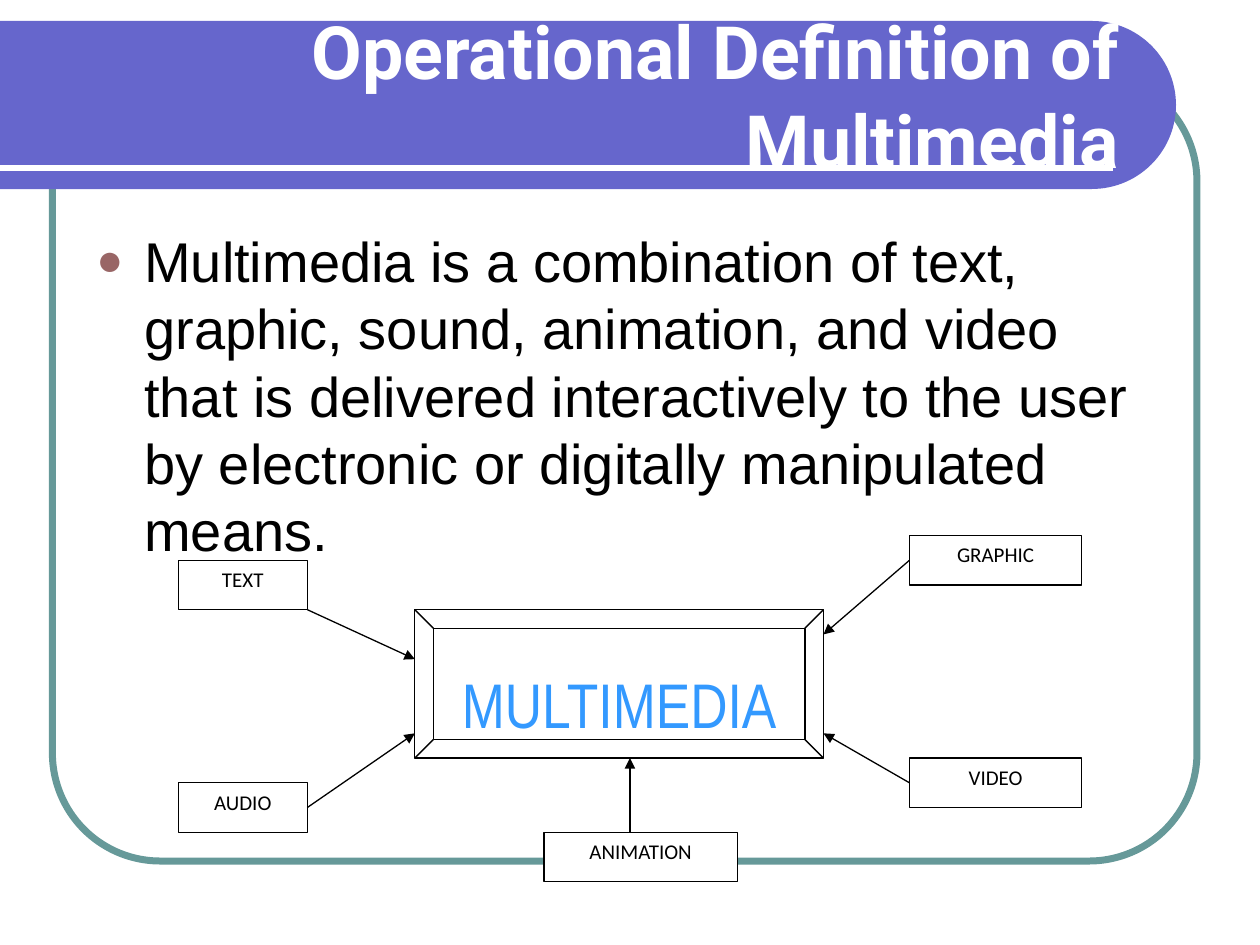
from dataclasses import dataclass
from math import cos, pi, sin

from lxml.etree import SubElement
from pptx import Presentation
from pptx.dml.color import RGBColor
from pptx.enum.shapes import MSO_CONNECTOR as Connector, MSO_SHAPE as Shape
from pptx.enum.text import MSO_ANCHOR as Anchor, MSO_AUTO_SIZE as AutoSize, PP_ALIGN as Align
from pptx.oxml.ns import qn
from pptx.util import Inches, Pt


@dataclass(frozen=True)
class Theme:
    banner: str = "6666CC"
    frame: str = "669999"
    bullet: str = "996666"
    accent: str = "3399FF"
    light: str = "FFFFFF"
    dark: str = "000000"
    title_size: float = 42
    body_size: float = 32
    hub_size: float = 36
    label_size: float = 12
    title_font: str = "Roboto"
    body_font: str = "Arial"
    hub_font: str = "Arial Narrow"
    label_font: str = "Calibri"
    thin: float = 0.75


@dataclass(frozen=True)
class Grid:
    left: float
    top: float
    column: float
    row: float

    def point(self, column, row):
        return Inches(self.left + column * self.column), Inches(self.top + row * self.row)

    def area(self, column, row, columns, rows):
        return (*self.point(column, row), Inches(columns * self.column), Inches(rows * self.row))


PAGE = Grid(0, 0, 1 / 12, 1 / 12)
DIAGRAM = Grid(1.415, 4.25, 0.1707, 0.1963)


def write(box, text, *, font, size, color, bold=False, align=Align.LEFT,
          anchor=Anchor.TOP, wrap=True, bullet=None):
    frame = box.text_frame
    frame.word_wrap = wrap
    frame.auto_size = AutoSize.NONE
    frame.vertical_anchor = anchor
    para = frame.paragraphs[0]
    para.alignment = align
    if bullet:
        properties = para._p.get_or_add_pPr()
        properties.set("marL", str(Inches(0.38)))
        properties.set("indent", str(-Inches(0.38)))
        tint = SubElement(properties, qn("a:buClr"))
        SubElement(tint, qn("a:srgbClr"), val=bullet)
        SubElement(properties, qn("a:buSzPct"), val="80000")
        SubElement(properties, qn("a:buFont"), typeface=font)
        SubElement(properties, qn("a:buChar"), char="●")
    span = para.add_run()
    span.text = text
    span.font.name = font
    span.font.size = Pt(size)
    span.font.bold = bold
    span.font.color.rgb = RGBColor.from_string(color)


class SlideBuilder:
    def __init__(self, deck, theme):
        self.theme = theme
        self.page = deck.slides.add_slide(deck.slide_layouts[5])
        self.shapes = self.page.shapes

    def paint(self, shape, fill=None, line=None, width=0):
        shape.shadow.inherit = False
        if fill:
            shape.fill.solid()
            shape.fill.fore_color.rgb = RGBColor.from_string(fill)
        else:
            shape.fill.background()
        if line:
            shape.line.color.rgb = RGBColor.from_string(line)
            shape.line.width = Pt(width)
        else:
            shape.line.fill.background()

    def shape(self, kind, area, *, adjust=None, **paint):
        shape = self.shapes.add_shape(kind, *area)
        if adjust is not None:
            shape.adjustments[0] = adjust
        self.paint(shape, **paint)
        return shape

    def banner(self, top, bottom, bend):
        radius = (bottom - top) / 2
        middle = top + radius
        steps = 60
        angles = [pi * (step / steps - 0.5) for step in range(steps + 1)]
        curve = [PAGE.point(bend + radius * cos(a), middle + radius * sin(a)) for a in angles]
        outline = self.shapes.build_freeform(*PAGE.point(0, top))
        outline.add_line_segments([*curve, PAGE.point(0, bottom)], close=True)
        self.paint(outline.convert_to_shape(), fill=self.theme.banner)

    def line(self, start, end, *, color, width, arrow=False):
        line = self.shapes.add_connector(Connector.STRAIGHT, *start, *end)
        line.line.color.rgb = RGBColor.from_string(color)
        line.line.width = Pt(width)
        if arrow:
            SubElement(line.line._get_or_add_ln(), qn("a:tailEnd"), type="triangle")
        SubElement(line._element.spPr, qn("a:effectLst"))

    def title(self, text, area):
        title = self.shapes.title
        title.left, title.top, title.width, title.height = area
        self.shapes._spTree.append(title._element)
        write(title, text, font=self.theme.title_font, size=self.theme.title_size,
              color=self.theme.light, bold=True, align=Align.RIGHT, anchor=Anchor.MIDDLE)

    def text(self, text, area, **style):
        write(self.shapes.add_textbox(*area), text, **style)

    def label(self, text, area):
        theme = self.theme
        box = self.shape(Shape.RECTANGLE, area, fill=theme.light, line=theme.dark, width=theme.thin)
        write(box, text, font=theme.label_font, size=theme.label_size,
              color=theme.dark, align=Align.CENTER)

    def arrow(self, start, end):
        self.line(DIAGRAM.point(*start), DIAGRAM.point(*end),
                  color=self.theme.dark, width=self.theme.thin, arrow=True)


def main():
    deck = Presentation()
    deck.slide_width, deck.slide_height = Inches(10), Inches(7.5)
    theme = Theme()
    slide = SlideBuilder(deck, theme)

    slide.shape(Shape.ROUNDED_RECTANGLE, PAGE.area(5, 7, 109, 75), adjust=0.137,
                line=theme.frame, width=4)
    slide.banner(top=2, bottom=18, bend=104)
    slide.line(PAGE.point(0, 16), PAGE.point(106, 16), color=theme.light, width=3)
    slide.title("Operational Definition of Multimedia", PAGE.area(2.5, 3, 105.25, 12))
    slide.text("Multimedia is a combination of text, graphic, sound, animation, and video "
               "that is delivered interactively to the user by electronic or digitally "
               "manipulated means.", PAGE.area(8, 21, 104, 29), font=theme.body_font,
               size=theme.body_size, color=theme.dark, bullet=theme.bullet)

    slide.text("MULTIMEDIA", DIAGRAM.area(13, 5, 15, 2), font=theme.hub_font,
               size=theme.hub_size, color=theme.accent, align=Align.CENTER, wrap=False)
    slide.shape(Shape.BEVEL, DIAGRAM.area(11, 3, 19, 6), adjust=0.125,
                line=theme.dark, width=theme.thin)

    media = [
        ("TEXT", (0, 1, 6), (6, 3), (11, 5)),
        ("AUDIO", (0, 10, 6), (6, 11), (11, 8)),
        ("GRAPHIC", (34, 0, 8), (34, 1), (30, 4)),
        ("VIDEO", (34, 9, 8), (34, 10), (30, 8)),
        ("ANIMATION", (17, 12, 9), (21, 12), (21, 9)),
    ]
    for name, place, start, end in media:
        slide.label(name, DIAGRAM.area(*place, 2))
        slide.arrow(start, end)

    deck.save("out.pptx")


if __name__ == "__main__":
    main()
